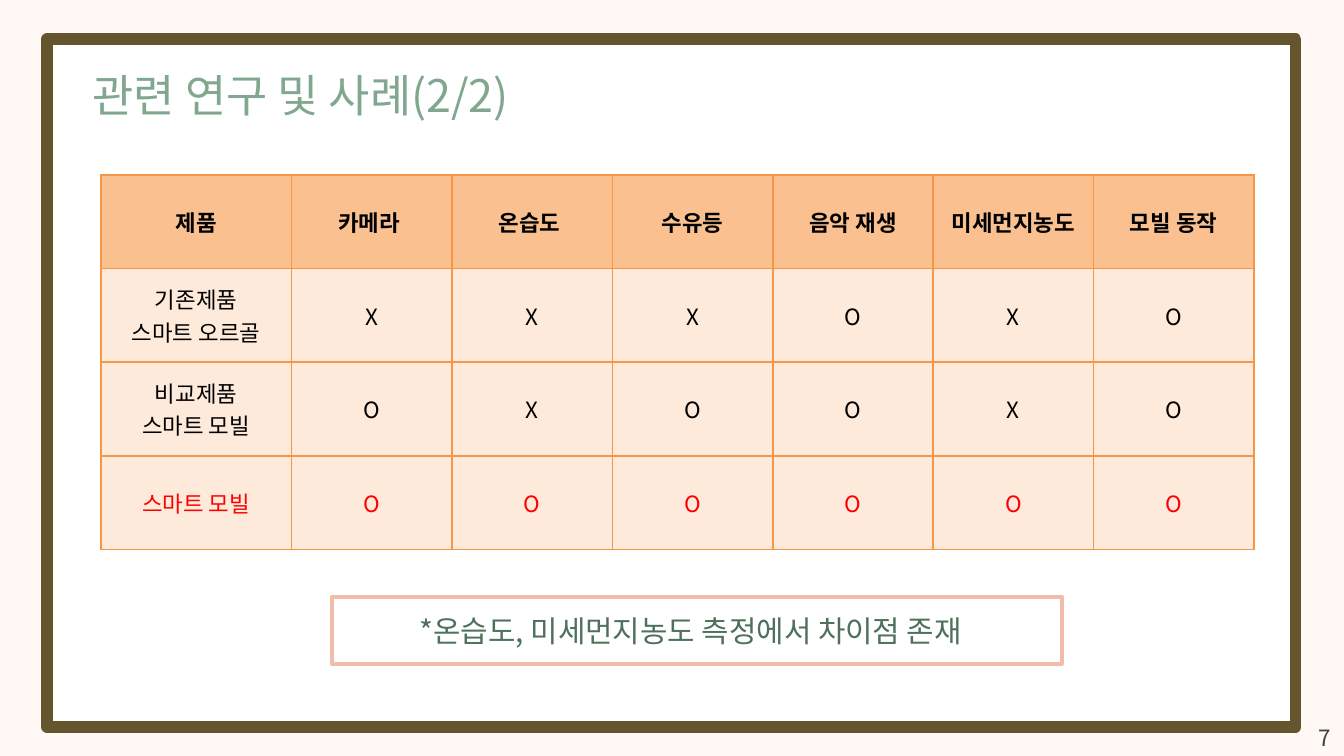
import dataclasses

import pptx
import pptx.dml.color
import pptx.enum.shapes
import pptx.enum.text
import pptx.oxml
import pptx.oxml.ns
import pptx.util

Inches = pptx.util.Inches
Pt = pptx.util.Pt
RGBColor = pptx.dml.color.RGBColor
Align = pptx.enum.text.PP_ALIGN
Anchor = pptx.enum.text.MSO_ANCHOR

FONT = "Noto Sans CJK KR"
BACKGROUND = RGBColor(0xFF, 0xF8, 0xF5)
WHITE = RGBColor(0xFF, 0xFF, 0xFF)
BLACK = RGBColor(0x00, 0x00, 0x00)
RED = RGBColor(0xFF, 0x00, 0x00)
BROWN = RGBColor(0x64, 0x55, 0x2E)
SAGE = RGBColor(0x81, 0xA7, 0x8F)
GREEN = RGBColor(0x4F, 0x71, 0x5B)
PINK = RGBColor(0xF1, 0xBC, 0xAC)
GREY = RGBColor(0x40, 0x40, 0x40)
HEADER_FILL = RGBColor(0xFA, 0xC0, 0x90)
BODY_FILL = RGBColor(0xFD, 0xEA, 0xDA)
BORDER = RGBColor(0xF7, 0x96, 0x46)


@dataclasses.dataclass(frozen=True)
class Box:
    left: float
    top: float
    width: float
    height: float

    def lengths(self) -> tuple:
        return tuple(Inches(value) for value in dataclasses.astuple(self))


@dataclasses.dataclass(frozen=True)
class TextStyle:
    size: int
    color: RGBColor
    bold: bool = False
    align: Align = Align.CENTER


@dataclasses.dataclass(frozen=True)
class ProductRow:
    name: tuple[str, ...]
    marks: str
    color: RGBColor = BLACK


HEADERS = ("제품", "카메라 ", "온습도 ", "수유등", "음악 재생", "미세먼지농도", "모빌 동작")
PRODUCTS = (
    ProductRow(("기존제품", "스마트 오르골"), "XXXOXO"),
    ProductRow(("비교제품", "스마트 모빌"), "OXOOXO"),
    ProductRow(("스마트 모빌",), "OOOOOO", RED),
)


def write_text(text_frame, lines: tuple[str, ...], style: TextStyle) -> None:
    for index, line in enumerate(lines):
        paragraph = text_frame.add_paragraph() if index else text_frame.paragraphs[0]
        paragraph.alignment = style.align
        run = paragraph.add_run()
        run.text = line
        run.font.name = FONT
        run.font.size = Pt(style.size)
        run.font.bold = style.bold
        run.font.color.rgb = style.color
        east_asian = pptx.oxml.parse_xml(
            f'<a:ea {pptx.oxml.ns.nsdecls("a")} typeface="{FONT}"/>')
        run.font._element.append(east_asian)


def add_rectangle(slide, box: Box, line_color: RGBColor, line_width: float) -> None:
    shape = slide.shapes.add_shape(
        pptx.enum.shapes.MSO_SHAPE.RECTANGLE, *box.lengths())
    shape.shadow.inherit = False
    shape.fill.solid()
    shape.fill.fore_color.rgb = WHITE
    shape.line.color.rgb = line_color
    shape.line.width = Pt(line_width)


def add_text(slide, box: Box, text: str, style: TextStyle, wrap: bool) -> None:
    text_frame = slide.shapes.add_textbox(*box.lengths()).text_frame
    text_frame.word_wrap = wrap
    write_text(text_frame, (text,), style)


def set_title(slide, box: Box, text: str, style: TextStyle) -> None:
    title = slide.shapes.title
    title.left, title.top, title.width, title.height = box.lengths()
    title.text_frame.word_wrap = False
    title.text_frame.auto_size = pptx.enum.text.MSO_AUTO_SIZE.NONE
    title.text_frame.vertical_anchor = Anchor.TOP
    write_text(title.text_frame, (text,), style)
    # Bring the title in front of the frame
    slide.shapes._spTree.append(title._element)


def format_cell(cell, lines: tuple[str, ...], style: TextStyle, fill: RGBColor) -> None:
    cell.vertical_anchor = Anchor.MIDDLE
    write_text(cell.text_frame, lines, style)
    properties = cell._tc.get_or_add_tcPr()
    for side in ("lnL", "lnR", "lnT", "lnB"):
        properties.append(pptx.oxml.parse_xml(
            f'<a:{side} {pptx.oxml.ns.nsdecls("a")} w="{Pt(1)}">'
            f'<a:solidFill><a:srgbClr val="{BORDER}"/></a:solidFill></a:{side}>'))
    cell.fill.solid()
    cell.fill.fore_color.rgb = fill


def add_comparison_table(slide, box: Box, name_width: float) -> None:
    row_count, column_count = len(PRODUCTS) + 1, len(HEADERS)
    table = slide.shapes.add_table(row_count, column_count, *box.lengths()).table
    mark_width = (box.width - name_width) / (column_count - 1)
    for index, column in enumerate(table.columns):
        column.width = Inches(mark_width if index else name_width)
    for row in table.rows:
        row.height = Inches(box.height / row_count)

    for column, header in enumerate(HEADERS):
        format_cell(table.cell(0, column), (header,),
                    TextStyle(12, BLACK, bold=True), HEADER_FILL)
    for row, product in enumerate(PRODUCTS, start=1):
        contents = (product.name, *((mark,) for mark in product.marks))
        for column, lines in enumerate(contents):
            format_cell(table.cell(row, column), lines,
                        TextStyle(12, product.color), BODY_FILL)


def main() -> None:
    presentation = pptx.Presentation()
    presentation.slide_width = Inches(10)
    presentation.slide_height = presentation.slide_width * 9 // 16
    slide = presentation.slides.add_slide(presentation.slide_layouts[5])
    slide.background.fill.solid()
    slide.background.fill.fore_color.rgb = BACKGROUND

    # Frame and title
    add_rectangle(slide, Box(0.35, 0.29, 9.29, 5.12), BROWN, 6)
    set_title(slide, Box(0.59, 0.45, 3.77, 0.5), "관련 연구 및 사례(2/2)",
              TextStyle(24, SAGE, align=Align.LEFT))

    # Product comparison
    add_comparison_table(slide, Box(0.75, 1.3, 8.58, 2.79), name_width=1.42)

    # Conclusion
    add_rectangle(slide, Box(2.47, 4.44, 5.43, 0.5), PINK, 2)
    add_text(slide, Box(2.55, 4.51, 5.18, 0.37),
             "*온습도, 미세먼지농도 측정에서 차이점 존재", TextStyle(16, GREEN), wrap=True)

    # Page number
    add_text(slide, Box(9.71, 5.34, 0.3, 0.3), "7", TextStyle(12, GREY), wrap=False)

    presentation.save("out.pptx")


if __name__ == "__main__":
    main()
